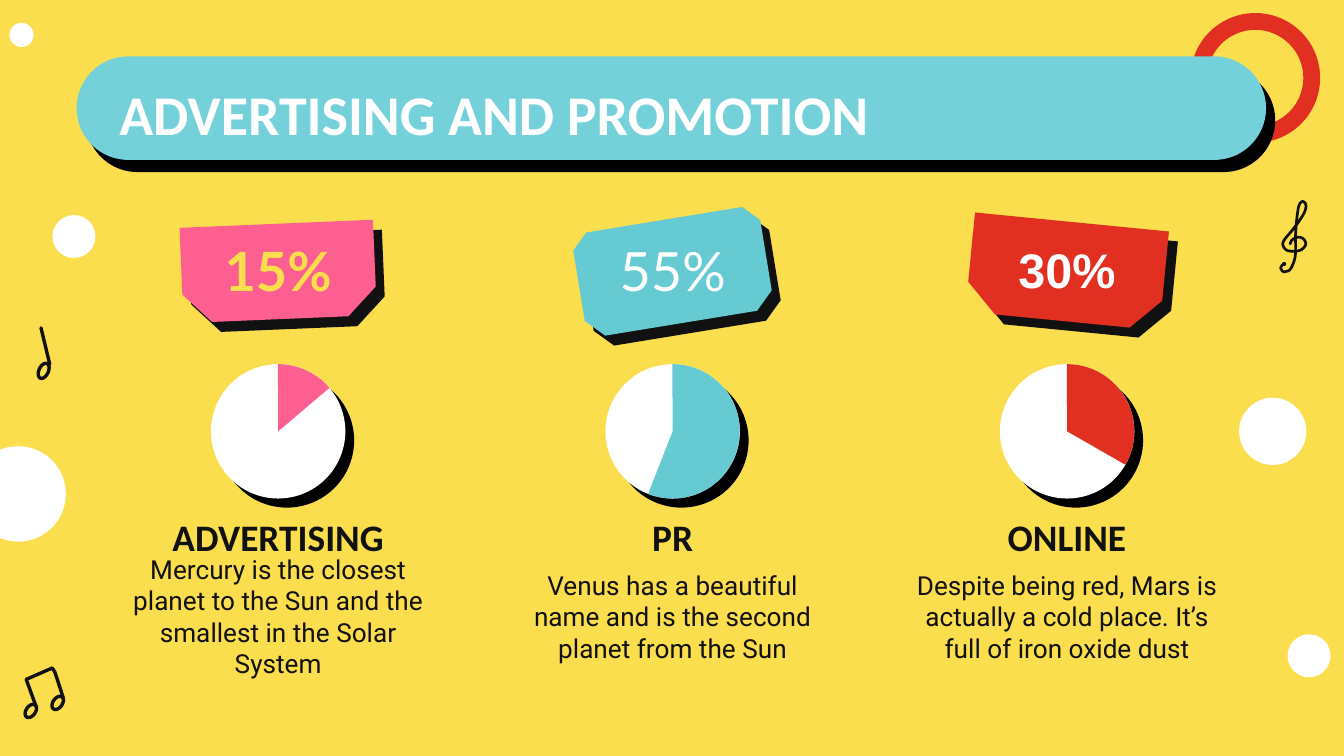
import math

from lxml import etree
from pptx import Presentation
from pptx import util as u
from pptx.dml.color import RGBColor
from pptx.enum import shapes, text
from pptx.oxml import ns

PX = 4572  # 200 px to the inch
WIDTH, HEIGHT = 2000, 1125

YELLOW = RGBColor(0xFA, 0xDE, 0x4E)
SKY = RGBColor(0x75, 0xD1, 0xD9)
TEAL = RGBColor(0x66, 0xCA, 0xD3)
PINK = RGBColor(0xFE, 0x5F, 0x91)
RED = RGBColor(0xE1, 0x2F, 0x21)
INK = RGBColor(0x11, 0x11, 0x11)
BLACK = RGBColor(0, 0, 0)
WHITE = RGBColor(0xFF, 0xFF, 0xFF)

SHAPE = shapes.MSO_SHAPE
ALIGN = text.PP_ALIGN
ANCHOR = text.MSO_ANCHOR


def px(*lengths):
    return [u.Emu(round(n * PX)) for n in lengths]


def add_text(slide, box, words, *, size, font, color, bold=False,
             align=ALIGN.CENTER, anchor=ANCHOR.MIDDLE):
    label = slide.shapes.add_textbox(*px(*box))
    frame = label.text_frame
    frame.word_wrap = True
    frame.vertical_anchor = anchor
    frame.margin_left, frame.margin_top, frame.margin_right, frame.margin_bottom = px(20, 20, 20, 20)
    paragraph = frame.paragraphs[0]
    paragraph.alignment = align
    run = paragraph.add_run()
    run.text = words
    run.font.size = u.Pt(size)
    run.font.name = font
    run.font.bold = bold
    run.font.color.rgb = color


def add_plain(slide, kind, box, fill, adjust=()):
    """Flat shape without outline or shadow."""
    plain = slide.shapes.add_shape(kind, *px(*box))
    plain.shadow.inherit = False
    plain.fill.solid()
    plain.fill.fore_color.rgb = fill
    plain.line.fill.background()
    for i, value in enumerate(adjust):
        plain.adjustments[i] = value
    return plain


def cast_shadow(shape, color, distance, angle):
    """Hard-edged drop shadow; distance in points, angle in degrees."""
    effects = shape._element.spPr.find(ns.qn("a:effectLst"))
    shadow = etree.SubElement(effects, ns.qn("a:outerShdw"), blurRad="0",
                              dist=str(u.Pt(distance)), dir=str(angle * 60000),
                              algn="bl", rotWithShape="0")
    etree.SubElement(shadow, ns.qn("a:srgbClr"), val=str(color))


def add_stroke(slide, origin, points, width=5, closed=False):
    """Round pen stroke through points measured from origin."""
    left, top = origin
    path = [px(left + x, top + y) for x, y in points]
    builder = slide.shapes.build_freeform(*path[0])
    builder.add_line_segments(path[1:], close=closed)
    stroke = builder.convert_to_shape()
    stroke.shadow.inherit = False
    stroke.fill.background()
    stroke.line.color.rgb = INK
    stroke.line.width = px(width)[0]
    line = stroke._element.spPr.find(ns.qn("a:ln"))
    line.set("cap", "rnd")
    etree.SubElement(line, ns.qn("a:round"))


def smooth(points, steps=5):
    """Catmull-Rom curve through the points."""
    padded = [points[0], *points, points[-1]]
    curve = []
    for a, b, c, d in zip(padded, padded[1:], padded[2:], padded[3:]):
        for t in (i / steps for i in range(steps)):
            curve.append([
                (2 * q + (r - p) * t + (2 * p - 5 * q + 4 * r - s) * t ** 2
                 + (3 * q - p - 3 * r + s) * t ** 3) / 2
                for p, q, r, s in zip(a, b, c, d)])
    return curve + [points[-1]]


def add_note_head(slide, center, rx, ry, tilt):
    turn = math.radians(tilt)
    ring = []
    for i in range(24):
        angle = math.tau * i / 24
        x, y = rx * math.cos(angle), ry * math.sin(angle)
        ring.append((x * math.cos(turn) - y * math.sin(turn),
                     x * math.sin(turn) + y * math.cos(turn)))
    add_stroke(slide, center, ring, closed=True)


def half_note(slide, left, top):
    add_note_head(slide, (left + 10, top + 66), 7, 12, 25)
    add_stroke(slide, (left, top), [(6, 2), (19, 56)])


def beamed_notes(slide, left, top):
    for x, y in ((12, 66), (52, 54)):
        add_note_head(slide, (left + x, top + y), 7, 11, 35)
    add_stroke(slide, (left, top), [(20, 60), (5, 19), (44, 2), (48, 9), (60, 46)])


def treble_clef(slide, left, top):
    spine = [(7, 94), (2, 100), (5, 106), (10, 106), (16, 103), (22, 90),
             (24, 76), (24, 52), (26, 26), (29, 8), (34, 2), (39, 6), (38, 16),
             (30, 30), (18, 46), (8, 58), (5, 66), (10, 74), (20, 76), (32, 74),
             (39, 66), (36, 58), (28, 55), (19, 59), (16, 65)]
    add_stroke(slide, (left, top), smooth(spine), width=4)
    add_plain(slide, SHAPE.OVAL, (left + 4, top + 92, 6, 6), INK)


def backdrop(slide):
    slide.background.fill.solid()
    slide.background.fill.fore_color.rgb = YELLOW
    # Red ring behind the banner
    ring = add_plain(slide, SHAPE.OVAL, (1784, 32, 168, 168), RED)
    ring.fill.background()
    ring.line.color.rgb = RED
    ring.line.width = u.Pt(9)
    # White dots
    for left, top, size in ((14, 34, 36), (78, 320, 64), (-44, 664, 142),
                            (1916, 944, 64), (1844, 592, 100)):
        add_plain(slide, SHAPE.OVAL, (left, top, size, size), WHITE)
    # Music signs
    half_note(slide, 55, 486)
    treble_clef(slide, 1904, 298)
    beamed_notes(slide, 34, 992)


def banner(slide, left, top, width, height):
    pill = add_plain(slide, SHAPE.ROUNDED_RECTANGLE, (left, top, width, height), SKY, [0.5])
    cast_shadow(pill, BLACK, 8.2, 53)
    add_text(slide, (left + 44, top + 14, width - 84, height - 28),
             "ADVERTISING AND PROMOTION", size=30, font="Calibri", color=WHITE,
             bold=True, align=ALIGN.LEFT, anchor=ANCHOR.TOP)


def channel(slide, left, top, width, item):
    middle = left + width / 2

    def centered(y, w, h):
        return middle - w / 2, top + y, w, h

    # Heading and description
    add_text(slide, (left, top + 434, width, 76), item["name"],
             size=20, font="Calibri", color=INK, bold=True)
    add_text(slide, (left, top + 514, width, 154), item["about"],
             size=14, font="Roboto", color=INK)
    # Tilted tag with the share
    tag_width, tag_height = item["tag"]
    tag = add_plain(slide, SHAPE.SNIP_2_SAME_RECTANGLE,
                    centered(78 - tag_height / 2, tag_width, tag_height),
                    item["color"], item["snips"])
    tag.rotation = item["tilt"]
    cast_shadow(tag, INK, 7.2, 48)
    add_text(slide, centered(34, 254, 82), item["share"], **item["style"])
    # Pie; adjustments are degrees times 0.6
    disc = centered(216, 200, 200)
    plate = add_plain(slide, SHAPE.OVAL, disc, WHITE)
    cast_shadow(plate, BLACK, 6.8, 46)
    add_plain(slide, SHAPE.PIE, disc, item["color"], [269.8 * 0.6, item["pie_end"] * 0.6])


CHANNELS = [
    dict(name="ADVERTISING", share="15%", color=PINK, pie_end=319.7,
         about="Mercury is the closest planet to the Sun and the smallest in the Solar System",
         tag=(288, 142), tilt=177.6, snips=(0.3, 0),
         style=dict(size=29, font="Lato", color=YELLOW, bold=True)),
    dict(name="PR", share="55%", color=TEAL, pie_end=111.4,
         about="Venus has a beautiful name and is the second planet from the Sun",
         tag=(282, 156), tilt=170.7, snips=(0.17, 0.15),
         style=dict(size=29, font="Lato", color=WHITE)),
    dict(name="ONLINE", share="30%", color=RED, pie_end=29.8,
         about="Despite being red, Mars is actually a cold place. It’s full of iron oxide dust",
         tag=(290, 148), tilt=185.6, snips=(0.3, 0),
         style=dict(size=26, font="Arial", color=WHITE, bold=True)),
]


def main():
    deck = Presentation()
    deck.slide_width, deck.slide_height = px(WIDTH, HEIGHT)
    slide = deck.slides.add_slide(deck.slide_layouts[6])
    backdrop(slide)
    banner(slide, 114, 84, 1770, 154)
    for i, item in enumerate(CHANNELS):
        channel(slide, 158 + 587 * i, 326, 512, item)
    deck.save("out.pptx")


if __name__ == "__main__":
    main()
